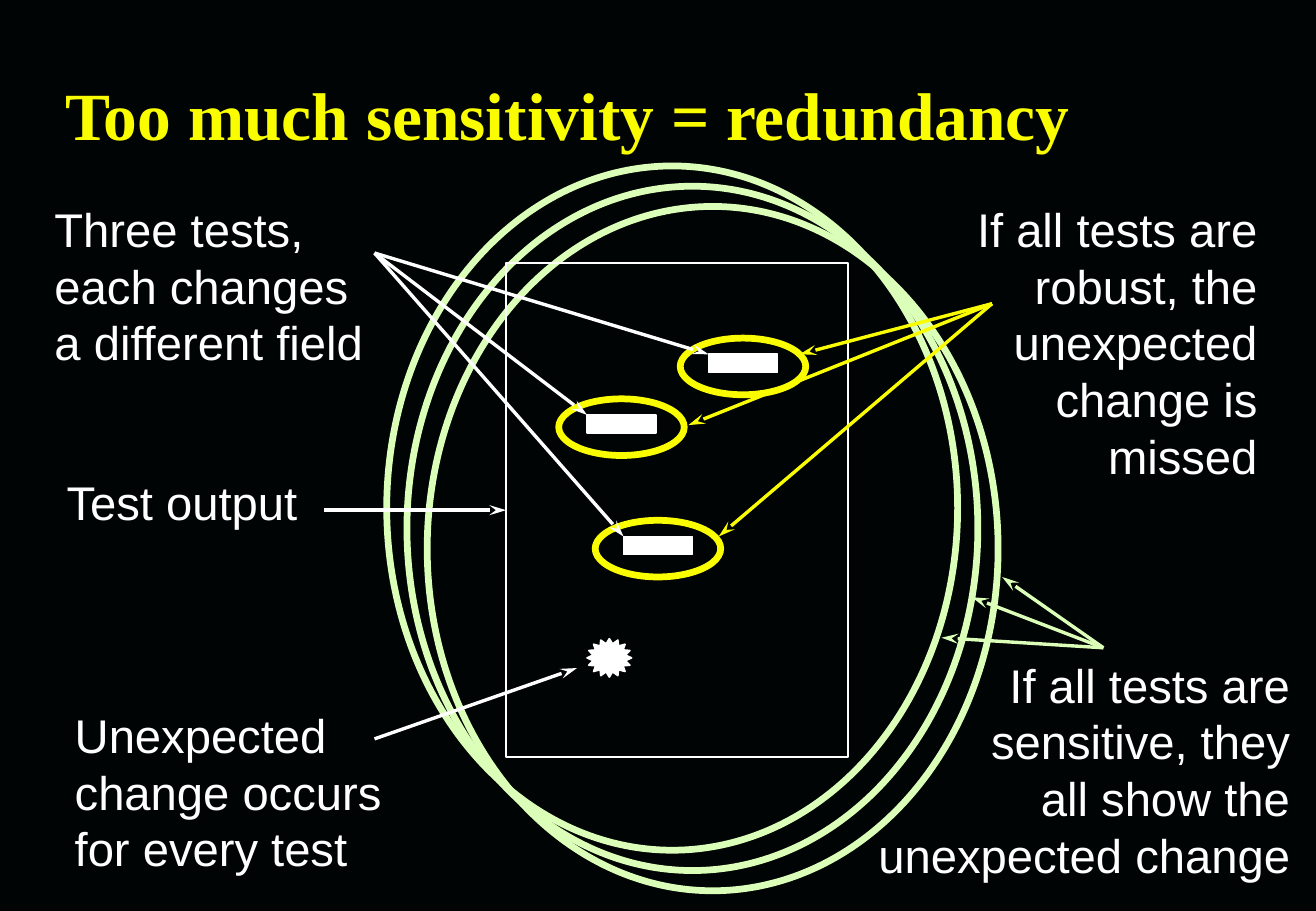
from lxml.etree import SubElement
from pptx import Presentation
from pptx.dml.color import RGBColor
from pptx.enum.shapes import MSO_CONNECTOR, MSO_SHAPE
from pptx.enum.text import MSO_ANCHOR, MSO_AUTO_SIZE, PP_ALIGN
from pptx.oxml.ns import qn
from pptx.util import Inches, Pt

BLACK = RGBColor(0x00, 0x04, 0x04)
WHITE = RGBColor(0xFF, 0xFF, 0xFF)
YELLOW = RGBColor(0xFA, 0xFD, 0x00)
GREEN = RGBColor(0xDB, 0xFF, 0xB8)

WIDE, HIGH = Inches(10.84), Inches(7.5)
COLS, ROWS = 65, 45

FIELDS = [(35, 17.5), (29, 20.5), (30.8, 26.5)]
NOTES = [
    (2.1, 9.6, 16.5, 9, PP_ALIGN.LEFT,
     ["Three tests,", "each changes", "a different field"]),
    (2.7, 23.1, 12.9, 3.4, PP_ALIGN.LEFT, ["Test output"]),
    (3.1, 34.6, 16.4, 9, PP_ALIGN.LEFT,
     ["Unexpected", "change occurs", "for every test"]),
    (47.6, 9.6, 15.1, 14.6, PP_ALIGN.RIGHT,
     ["If all tests are", "robust, the", "unexpected", "change is", "missed"]),
    (41.3, 32.1, 23, 11.8, PP_ALIGN.RIGHT,
     ["If all tests are", "sensitive, they", "all show the", "unexpected change"]),
]
FANS = [
    (WHITE, (18.5, 12.5), FIELDS),
    (WHITE, (18.5, 36.5), [(28.5, 33)]),
    (YELLOW, (49, 15), [(39.5, 17.5), (34, 21), (35.5, 26.5)]),
    (GREEN, (54.5, 32), [(49.5, 28.5), (48, 29.5), (46.5, 31.5)]),
]


def col(n):
    return round(WIDE * n / COLS)


def row(n):
    return round(HIGH * n / ROWS)


def area(x, y, w, h):
    return col(x), row(y), col(w), row(h)


def add_head(slide, text):
    title = slide.shapes.title
    title.left, title.top, title.width, title.height = area(2.8, 3.5, 61.4, 4.3)
    frame = title.text_frame
    frame.text = text
    frame.vertical_anchor = MSO_ANCHOR.BOTTOM
    frame.margin_left = frame.margin_right = Inches(0.07)
    frame.margin_top = frame.margin_bottom = Inches(0.03)
    para = frame.paragraphs[0]
    para.alignment = PP_ALIGN.LEFT
    para.font.name = "Times New Roman"
    para.font.size = Pt(40)
    para.font.bold = True
    para.font.color.rgb = YELLOW


def add_note(slide, x, y, w, h, align, lines):
    frame = slide.shapes.add_textbox(*area(x, y, w, h)).text_frame
    frame.word_wrap = False
    frame.auto_size = MSO_AUTO_SIZE.SHAPE_TO_FIT_TEXT
    frame.text = "\n".join(lines)
    for para in frame.paragraphs:
        para.alignment = align
        para.line_spacing = Pt(33.6)
        para.font.name = "Arial"
        para.font.size = Pt(28)
        para.font.color.rgb = WHITE


def add_form(slide, kind, box, color, weight, solid=False):
    form = slide.shapes.add_shape(kind, *area(*box))
    form.shadow.inherit = False
    form.line.color.rgb = color
    form.line.width = Pt(weight)
    if solid:
        form.fill.solid()
        form.fill.fore_color.rgb = color
    else:
        form.fill.background()
    return form


def add_field(slide, x, y):
    add_form(slide, MSO_SHAPE.RECTANGLE, (x, y, 3.4, 0.9), WHITE, 1, True)
    add_form(slide, MSO_SHAPE.OVAL, (x - 1.4, y - 0.8, 6.2, 2.8), YELLOW, 4)


def add_arrow(slide, start, end, color):
    arrow = slide.shapes.add_connector(
        MSO_CONNECTOR.STRAIGHT, col(start[0]), row(start[1]),
        col(end[0]), row(end[1]))
    arrow.line.color.rgb = color
    arrow.line.width = Pt(2)
    line = arrow._element.spPr.find(qn("a:ln"))
    SubElement(line, qn("a:tailEnd"), type="stealth", len="lg")
    SubElement(arrow._element.spPr, qn("a:effectLst"))
    return arrow


def main():
    deck = Presentation()
    deck.slide_width, deck.slide_height = WIDE, HIGH
    slide = deck.slides.add_slide(deck.slide_layouts[5])
    slide.background.fill.solid()
    slide.background.fill.fore_color.rgb = BLACK

    for step in range(3):
        add_form(slide, MSO_SHAPE.OVAL,
                 (19.1 + step, 8.2 + step, 28.2, 33.8), GREEN, 4)
    add_head(slide, "Too much sensitivity = redundancy")
    output = add_form(slide, MSO_SHAPE.RECTANGLE, (25, 13, 16.9, 24.4), WHITE, 1)
    for field in FIELDS:
        add_field(slide, *field)
    star = add_form(slide, MSO_SHAPE.STAR_16_POINT,
                    (29, 31.55, 2.2, 1.9), WHITE, 1, True)
    star.adjustments[0] = 0.37
    for note in NOTES:
        add_note(slide, *note)
    for color, start, ends in FANS:
        for end in ends:
            add_arrow(slide, start, end, color)
    add_arrow(slide, (16, 25.2), (25, 25.2), WHITE).end_connect(output, 1)

    deck.save("out.pptx")


if __name__ == "__main__":
    main()
